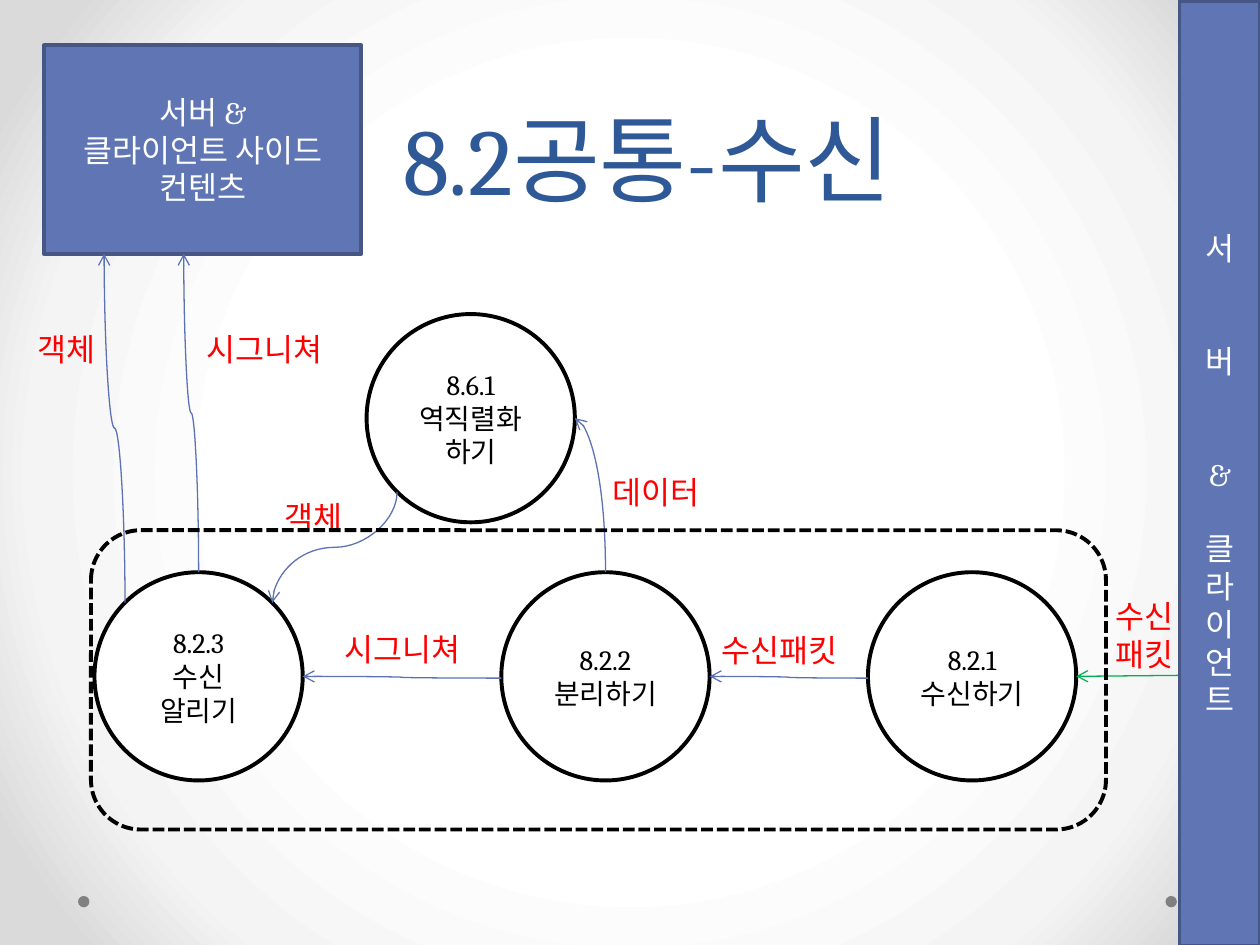
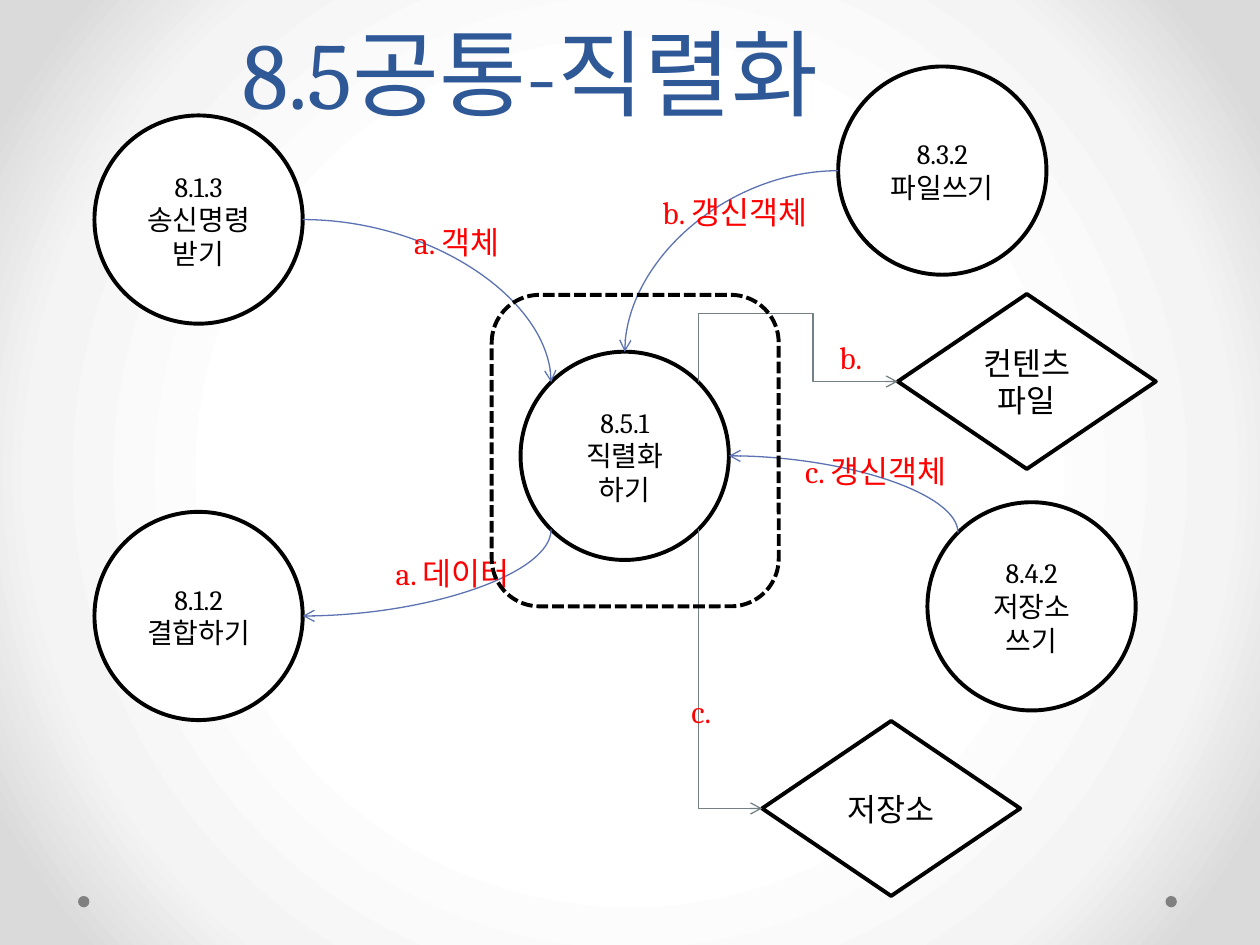
from math import cos, radians, sin

from pptx import Presentation
from pptx.dml.color import RGBColor
from pptx.enum.dml import MSO_LINE
from pptx.enum.shapes import MSO_CONNECTOR, MSO_SHAPE
from pptx.enum.text import MSO_ANCHOR, MSO_AUTO_SIZE, PP_ALIGN
from pptx.oxml import parse_xml
from pptx.oxml.ns import nsdecls
from pptx.util import Pt

CENTER, LEFT = PP_ALIGN.CENTER, PP_ALIGN.LEFT
MIDDLE, BOTTOM = MSO_ANCHOR.MIDDLE, MSO_ANCHOR.BOTTOM
OVAL, RECT = MSO_SHAPE.OVAL, MSO_SHAPE.RECTANGLE
ROUNDED, DECISION = MSO_SHAPE.ROUNDED_RECTANGLE, MSO_SHAPE.FLOWCHART_DECISION
DASH = MSO_LINE.SQUARE_DOT
STRAIGHT = MSO_CONNECTOR.STRAIGHT

FONT = "Cambria"
COLORS = {
    "title": "2F5897", "ink": "000000", "paper": "FFFFFF", "label": "FF0000",
    "block": "6076B4", "block_edge": "475785", "dot": "808080",
    "flow": "5C72B2", "store": "758085", "receive": "00B050",
}
BACKDROP = [(50, "FFFFFF"), (76, "F4F4F4"), (92, "DADADA")]
DIAMETER = 119
RIGHT, DOWN, WEST, UP = 0, 90, 180, 270  # headings, clockwise degrees
CURVE_2, CURVE_3 = "curvedConnector2", "curvedConnector3"
BENT_2, BENT_4 = "bentConnector2", "bentConnector4"


def color(name):
    return RGBColor.from_string(COLORS[name])


def rim(circle, angle):
    """Point on a circle, with the angle clockwise from the right."""
    radius = circle.width.pt / 2
    return (circle.left.pt + radius * (1 + cos(radians(angle))),
            circle.top.pt + radius * (1 + sin(radians(angle))))


class Diagram:
    def __init__(self):
        self.deck = Presentation()
        self.deck.slide_width, self.deck.slide_height = Pt(720), Pt(540)
        self.page = None
        self.paint_backdrop()

    def paint_backdrop(self):
        master = self.deck.slide_master
        master.background.fill.gradient()
        plain = master.element.xpath("p:cSld/p:bg//a:gradFill")[0]
        stops = "".join(f'<a:gs pos="{at * 1000}"><a:srgbClr val="{tone}"/></a:gs>'
                        for at, tone in BACKDROP)
        radial = parse_xml(
            f'<a:gradFill {nsdecls("a")} rotWithShape="1"><a:gsLst>{stops}</a:gsLst>'
            '<a:path path="circle"><a:fillToRect l="50000" t="50000" r="50000" b="50000"/>'
            '</a:path></a:gradFill>')
        plain.getparent().replace(plain, radial)

    def new_page(self, title, left, height):
        self.page = self.deck.slides.add_slide(self.deck.slide_layouts[5])
        for x in (44.6, 666):
            self.shape(OVAL, x, 512, 6.5, 6.5, fill="dot")
        box = self.page.shapes.title
        box.left, box.top, box.width, box.height = Pt(left), Pt(0), Pt(648), Pt(height)
        box.text_frame.auto_size = MSO_AUTO_SIZE.NONE
        box.text_frame.vertical_anchor = BOTTOM
        self.set_text(box, [title], 54, "title")
        box.text_frame.paragraphs[0].line_spacing = Pt(58)

    def set_text(self, box, lines, size, tone, align=CENTER):
        frame = box.text_frame
        frame.word_wrap = True
        frame.text = "\n".join(lines)
        for para in frame.paragraphs:
            para.alignment = align
            para.font.name, para.font.size = FONT, Pt(size)
            para.font.color.rgb = color(tone)

    def shape(self, kind, left, top, width, height, fill=None, edge=None):
        shape = self.page.shapes.add_shape(kind, Pt(left), Pt(top), Pt(width), Pt(height))
        shape.shadow.inherit = False
        if fill:
            shape.fill.solid()
            shape.fill.fore_color.rgb = color(fill)
        else:
            shape.fill.background()
        if edge:
            shape.line.color.rgb, shape.line.width = color(edge), Pt(2.25)
        else:
            shape.line.fill.background()
        shape.text_frame.vertical_anchor = MIDDLE
        return shape

    def process(self, left, top, *lines):
        circle = self.shape(OVAL, left, top, DIAMETER, DIAMETER, "paper", "ink")
        frame = circle.text_frame
        frame.margin_left = frame.margin_right = Pt(3)
        frame.margin_top = frame.margin_bottom = Pt(3)
        self.set_text(circle, lines, 16, "ink")
        return circle

    def store(self, left, top, *lines):
        diamond = self.shape(DECISION, left, top, 147.5, 100, "paper", "ink")
        self.set_text(diamond, lines, 18, "ink")

    def block(self, left, top, width, height, *lines):
        block = self.shape(RECT, left, top, width, height, "block", "block_edge")
        self.set_text(block, lines, 18, "paper")
        return block

    def boundary(self, left, top, width, height):
        self.shape(ROUNDED, left, top, width, height, edge="ink").line.dash_style = DASH

    def label(self, left, top, width, *lines):
        box = self.page.shapes.add_textbox(Pt(left), Pt(top), Pt(width),
                                           Pt(7 + 22 * len(lines)))
        self.set_text(box, lines, 18, "label", LEFT)

    def arrow(self, start, end, tone):
        line = self.page.shapes.add_connector(STRAIGHT, *(Pt(v) for v in (*start, *end)))
        line.line.color.rgb, line.line.width = color(tone), Pt(0.75)
        properties = line.element.spPr
        properties.get_or_add_ln().append(
            parse_xml(f'<a:tailEnd {nsdecls("a")} type="arrow"/>'))
        properties.append(parse_xml(f'<a:effectLst {nsdecls("a")}/>'))
        return line

    def route(self, start, end, heading, preset, tone="flow", legs=()):
        """Curved or bent arrow that leaves its start along the heading."""
        dx, dy = end[0] - start[0], end[1] - start[1]
        along, across = {RIGHT: (dx, dy), DOWN: (dy, -dx),
                         WEST: (-dx, -dy), UP: (-dy, dx)}[heading]
        width, height = abs(along), abs(across)
        left = (start[0] + end[0] - width) / 2
        top = (start[1] + end[1] - height) / 2
        line = self.arrow((left, top), (left + width, top + height), tone)
        line.rotation = heading
        properties = line.element.spPr
        if across < 0:
            properties.xfrm.set("flipV", "1")
        geometry = properties.prstGeom
        geometry.set("prst", preset)
        guides = geometry.get_or_add_avLst()
        for number, (leg, side) in enumerate(zip(legs, (width, height)), 1):
            guides.append(parse_xml(
                f'<a:gd {nsdecls("a")} name="adj{number}" '
                f'fmla="val {round(leg / side * 100000)}"/>'))


def receiving(diagram):
    diagram.new_page("8.2공통-수신", 46, 126)

    # Processes
    notify = diagram.process(54, 327, "8.2.3", "수신", "알리기")
    split = diagram.process(286.5, 327, "8.2.2", "분리하기")
    receive = diagram.process(496, 327, "8.2.1", "수신하기")
    restore = diagram.process(209.5, 179.5, "8.6.1", "역직렬화", "하기")

    # Flows
    diagram.arrow((720, 385.5), rim(receive, 0), "receive")
    for source, target in ((receive, split), (split, notify)):
        x, y = rim(source, 180)
        diagram.route((x, y + 1), rim(target, 0), WEST, CURVE_3)
    diagram.route(rim(split, 270), rim(restore, 0), UP, CURVE_2)
    diagram.route(rim(restore, 135), rim(notify, 315), DOWN, CURVE_3)
    diagram.block(25, 26, 181.5, 119, "서버 &", "클라이언트 사이드", "컨텐츠")
    for angle, x in ((225, 59.5), (270, 105)):
        diagram.route(rim(notify, angle), (x, 145), UP, CURVE_3)

    # Flow labels
    for left, top, width, text in (
            (405.5, 357, 108, "수신패킷"), (343, 266.5, 76, "데이터"),
            (190, 356.5, 94, "시그니쳐"), (155.5, 281, 55, "객체"),
            (14.5, 185, 55, "객체"), (111, 185, 94, "시그니쳐")):
        diagram.label(left, top, width, text)

    # System boundary and outer side band
    diagram.boundary(52, 303, 580, 171)
    band = diagram.block(674, 0.5, 46, 540, *"서버&클라이언트")
    for para, gap in zip(band.text_frame.paragraphs[1:], (43, 43, 21)):
        para.space_before = Pt(gap)
    diagram.label(630.5, 337.5, 85, "수신", "패킷")


def serializing(diagram):
    diagram.new_page("8.5공통-직렬화", -21, 77)

    # Processes and stores
    serialize = diagram.process(297.5, 201, "8.5.1", "직렬화", "하기")
    diagram.store(513, 168, "컨텐츠", "파일")
    command = diagram.process(54, 66, "8.1.3", "송신명령", "받기")
    combine = diagram.process(54, 292.5, "8.1.2", "결합하기")
    file_writer = diagram.process(479, 38, "8.3.2", "파일쓰기")
    store_writer = diagram.process(530, 287, "8.4.2", "저장소", "쓰기")
    diagram.store(435.5, 412, "저장소")

    # Flows
    diagram.route(rim(command, 0), rim(serialize, 225), RIGHT, CURVE_2)
    diagram.route(rim(serialize, 135), rim(combine, 0), DOWN, CURVE_2)
    diagram.route(rim(file_writer, 180), rim(serialize, 270), WEST, CURVE_2)
    diagram.route(rim(serialize, 315), (513, 218), UP, BENT_4, "store", (39.5, 65.5))
    diagram.route(rim(store_writer, 225), rim(serialize, 0), UP, CURVE_2)
    diagram.route(rim(serialize, 45), (435.5, 462), DOWN, BENT_2, "store")

    # Flow labels and system boundary
    for left, top, width, text in (
            (371.5, 106.5, 108, "b. 갱신객체"), (453, 255, 112, "c. 갱신객체"),
            (229.5, 124, 73, "a. 객체"), (219, 313, 96, "a. 데이터"),
            (472.5, 189.5, 73, "b."), (388, 392, 73, "c.")):
        diagram.label(left, top, width, text)
    diagram.boundary(281, 168.5, 164, 178)


def main():
    diagram = Diagram()
    receiving(diagram)
    serializing(diagram)
    diagram.deck.save("out.pptx")


if __name__ == "__main__":
    main()
